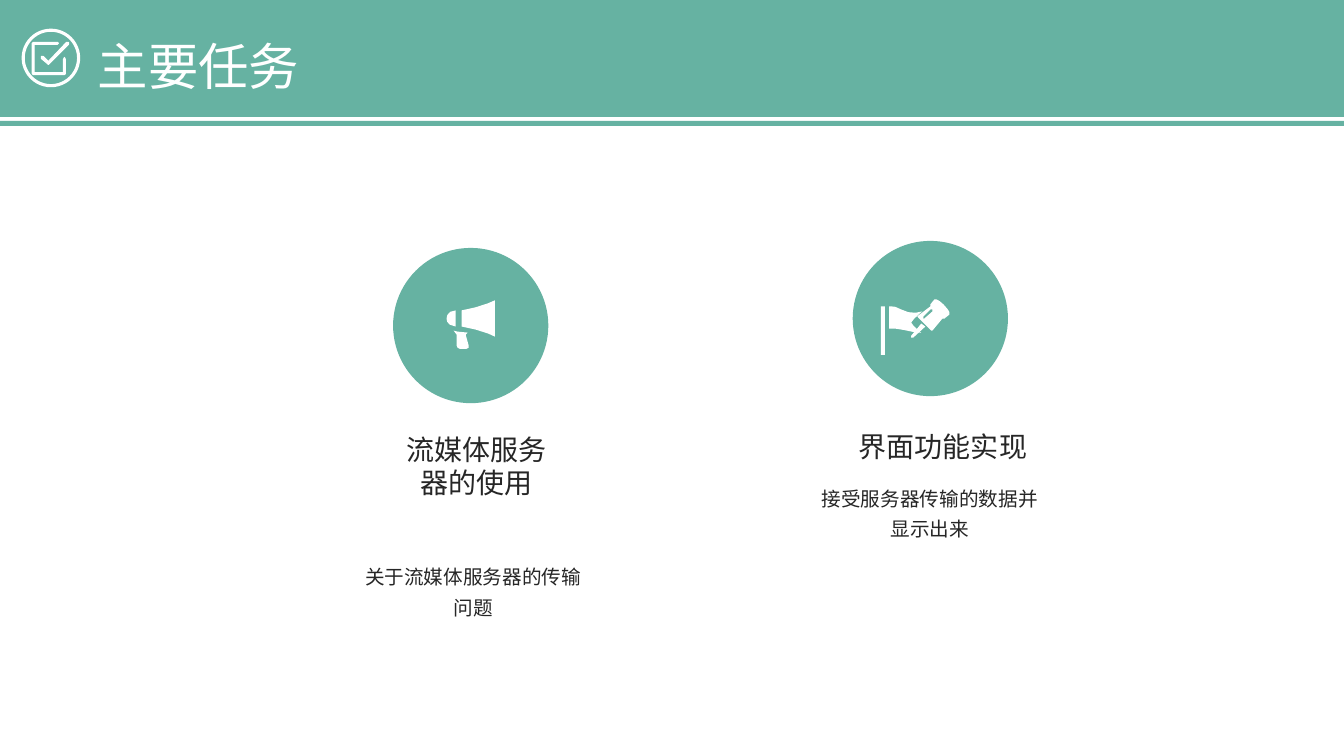
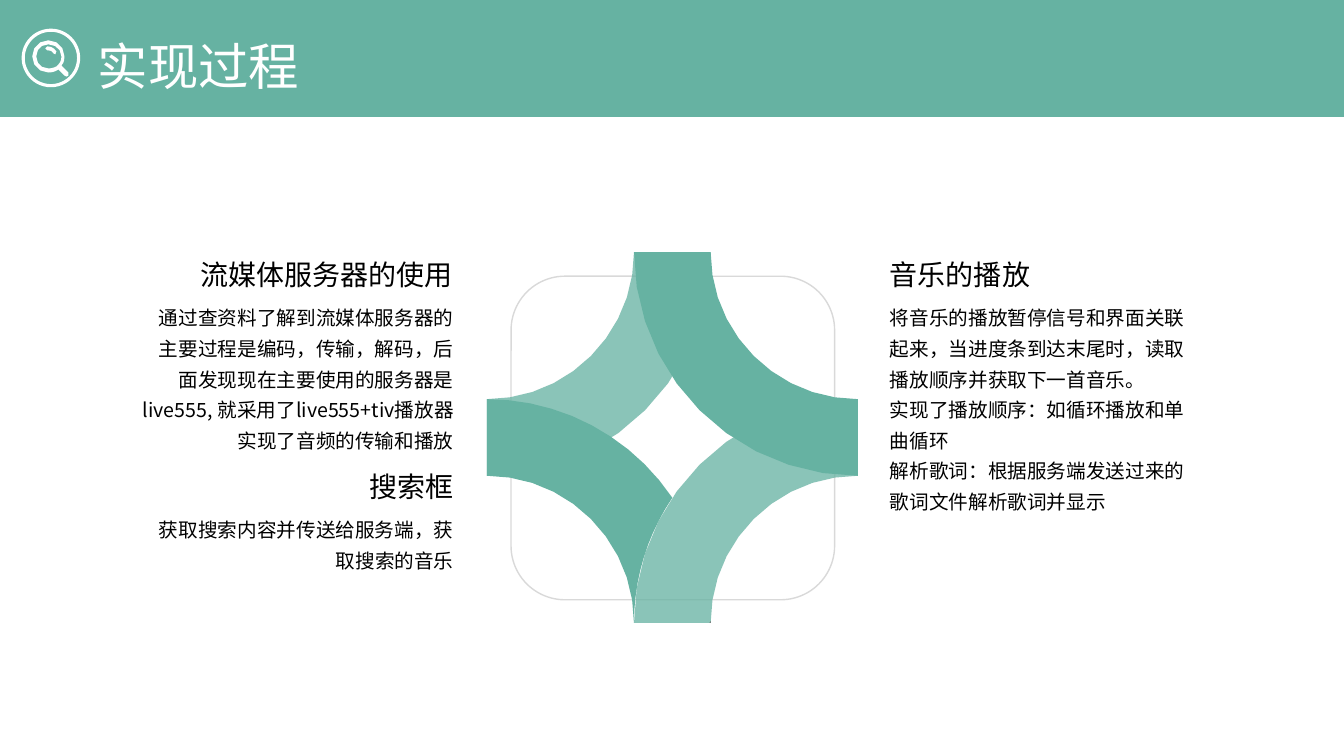
from dataclasses import dataclass
from math import acos, cos, degrees, radians, sin

from lxml.etree import SubElement
from pptx import Presentation
from pptx.dml.color import RGBColor
from pptx.enum.shapes import MSO_SHAPE
from pptx.enum.text import MSO_ANCHOR, MSO_AUTO_SIZE, PP_ALIGN
from pptx.oxml.ns import qn
from pptx.shapes.autoshape import Shape
from pptx.slide import Slide
from pptx.text.text import TextFrame
from pptx.util import Inches, Pt

TEAL = RGBColor(0x66, 0xB2, 0xA2)
WHITE = RGBColor(0xFF, 0xFF, 0xFF)
BLACK = RGBColor(0, 0, 0)
CHARCOAL = RGBColor(0x26, 0x26, 0x26)
DARK_GRAY = RGBColor(0x58, 0x58, 0x58)
LIGHT_GRAY = RGBColor(0xD9, 0xD9, 0xD9)

CJK_FONT = "Noto Sans CJK SC"
LATIN_FONT = "Calibri"
SLIDE_WIDTH, SLIDE_HEIGHT = 40 / 3, 7.5
UNITS_PER_INCH = 1000
CURVE_STEPS = 3
ARC_STEPS = 10

Point = tuple[float, float]
Box = tuple[float, float, float, float]

CHECK_ICON = (
    "M .67 .42 L .68 .42 L .68 .44 L .49 .63 L .48 .64 L .47 .63 "
    "L .41 .58 L .41 .56 L .43 .56 L .48 .61 L .66 .42 "
    "M .33 .42 L .57 .42 L .58 .43 L .57 .44 L .34 .44 L .34 .72 L .63 .72 "
    "L .63 .59 L .64 .57 L .65 .59 L .65 .73 L .64 .74 L .33 .74 "
    "L .32 .73 L .32 .43 L .33 .42"
)
SEARCH_ICON = (
    "M .47 .46 C .51 .46 .54 .48 .56 .51 L .55 .54 L .53 .53 "
    "C .52 .51 .5 .5 .47 .5 L .45 .48 L .47 .46 "
    "M .48 .44 C .41 .44 .36 .49 .36 .56 C .36 .63 .41 .68 .48 .68 "
    "C .51 .68 .54 .67 .56 .66 L .58 .64 C .6 .62 .61 .59 .61 .56 "
    "C .61 .49 .55 .44 .48 .44 "
    "M .48 .4 C .57 .4 .64 .47 .64 .56 C .64 .6 .63 .63 .61 .65 L .68 .72 "
    "L .68 .75 L .66 .76 L .64 .75 L .58 .69 "
    "C .55 .71 .52 .72 .48 .72 C .39 .72 .32 .65 .32 .56 C .32 .47 .39 .4 .48 .4"
)
MEGAPHONE_HANDLE = (
    "M 4.5 3.28 L 4.53 3.32 L 4.53 3.43 L 4.54 3.45 L 4.56 3.46 "
    "L 4.63 3.46 L 4.65 3.45 L 4.65 3.43 L 4.62 3.32 L 4.64 3.3 L 4.54 3.29 L 4.5 3.28"
)
MEGAPHONE_HORN = (
    "M 4.58 3.24 C 4.71 3.26 4.89 3.32 4.91 3.34 L 4.91 2.98 "
    "C 4.88 3 4.71 3.06 4.58 3.08 L 4.58 3.24"
)
MEGAPHONE_BACK = "M 4.52 3.24 L 4.52 3.08 C 4.45 3.08 4.43 3.13 4.43 3.16 C 4.43 3.19 4.44 3.23 4.52 3.24"
FLAG_CLOTH = (
    "M 9.04 3.2 C 9.04 3.18 9.15 3.09 9.15 3.09 C 9.09 3.11 9.01 3.11 8.94 3.07 "
    "C 8.88 3.03 8.82 3.04 8.82 3.04 L 8.82 3.26 L 8.88 3.26 "
    "C 8.94 3.26 9.09 3.31 9.14 3.3 C 9.14 3.3 9.04 3.22 9.04 3.2"
)
TOOL_ICON = (
    "M 9.14 3.21 L 9.18 3.24 L 9.06 3.35 L 9.04 3.35 L 9.04 3.33 L 9.14 3.21 "
    "M 9.24 3.07 L 9.23 3.07 L 9.16 3.14 L 9.16 3.16 L 9.17 3.16 "
    "L 9.25 3.09 L 9.25 3.07 L 9.24 3.07 "
    "M 9.29 2.97 C 9.29 2.97 9.32 2.98 9.36 3.02 C 9.41 3.07 9.42 3.1 9.42 3.1 "
    "L 9.42 3.12 L 9.37 3.16 L 9.35 3.16 L 9.25 3.28 L 9.24 3.28 L 9.11 3.15 "
    "L 9.1 3.14 L 9.11 3.13 L 9.23 3.04 L 9.23 3.02 L 9.27 2.97 L 9.29 2.97"
)
RIBBON_TIP = "M 7.05 6.18 L 7.04 6.18 L 7.05 6.16"


@dataclass(frozen=True)
class Passage:
    box: Box
    paragraphs: tuple[str, ...]
    size: int
    color: RGBColor
    align: PP_ALIGN
    font: str = CJK_FONT
    spacing: float = 1.0
    before: int = 0


def place(shape: Shape, box: Box) -> None:
    shape.left, shape.top, shape.width, shape.height = map(Inches, box)


def paint(
    shape: Shape,
    fill: RGBColor | None,
    outline: RGBColor | None = None,
    weight: float = 1,
    opacity: int = 100,
) -> None:
    shape.shadow.inherit = False
    if fill is None:
        shape.fill.background()
    else:
        shape.fill.solid()
        shape.fill.fore_color.rgb = fill
        if opacity < 100:
            tint = shape._element.spPr.find(f"{qn('a:solidFill')}/{qn('a:srgbClr')}")
            SubElement(tint, qn("a:alpha")).set("val", str(opacity * 1000))
    if outline is None:
        shape.line.fill.background()
    else:
        shape.line.color.rgb = outline
        shape.line.width = Pt(weight)


def add_preset(slide: Slide, kind: MSO_SHAPE, box: Box) -> Shape:
    return slide.shapes.add_shape(kind, *map(Inches, box))


def trace(icon: str) -> list[list[Point]]:
    contours: list[list[Point]] = []
    for step in icon.replace("M", "|M").replace("L", "|L").replace("C", "|C").split("|")[1:]:
        command, *numbers = step.split()
        values = [float(number) for number in numbers]
        points = list(zip(values[::2], values[1::2]))
        if command == "M":
            contours.append(points)
        elif command == "L":
            contours[-1] += points
        else:
            corners = [contours[-1][-1], *points]
            for index in range(1, CURVE_STEPS + 1):
                t = index / CURVE_STEPS
                weights = ((1 - t) ** 3, 3 * t * (1 - t) ** 2, 3 * t * t * (1 - t), t**3)
                x, y = (sum(w * c[axis] for w, c in zip(weights, corners)) for axis in (0, 1))
                contours[-1].append((x, y))
    return contours


def add_outline(slide: Slide, contours: list[list[Point]]) -> Shape:
    scaled = [[(x * UNITS_PER_INCH, y * UNITS_PER_INCH) for x, y in c] for c in contours]
    builder = slide.shapes.build_freeform(*scaled[0][0], scale=Inches(1) / UNITS_PER_INCH)
    for index, contour in enumerate(scaled):
        if index:
            builder.move_to(*contour[0])
        builder.add_line_segments(contour[1:], close=True)
    return builder.convert_to_shape()


def write(frame: TextFrame, passage: Passage) -> None:
    frame.word_wrap = True
    frame.vertical_anchor = MSO_ANCHOR.TOP
    frame.auto_size = MSO_AUTO_SIZE.NONE
    frame.text = "\n".join(passage.paragraphs)
    for paragraph in frame.paragraphs:
        paragraph.alignment = passage.align
        paragraph.line_spacing = passage.spacing
        paragraph.space_before = Pt(passage.before)
        font = paragraph.font
        font.size = Pt(passage.size)
        font.color.rgb = passage.color
        font.name = passage.font
        defaults = paragraph._p.pPr.find(qn("a:defRPr"))
        SubElement(defaults, qn("a:ea")).set("typeface", CJK_FONT)


def add_passage(slide: Slide, passage: Passage) -> None:
    write(slide.shapes.add_textbox(*map(Inches, passage.box)).text_frame, passage)


def add_header(
    slide: Slide, title: str, band_top: float, stripe_top: float, icon: str, icon_line: RGBColor | None
) -> None:
    for top, height in ((stripe_top, 0.05), (band_top, 1.16)):
        paint(add_preset(slide, MSO_SHAPE.RECTANGLE, (0, top, SLIDE_WIDTH, height)), TEAL)
    paint(add_outline(slide, trace(icon)), WHITE, icon_line, 0.75)
    paint(add_preset(slide, MSO_SHAPE.OVAL, (0.23, 0.3, 0.55, 0.55)), None, WHITE, 2.25)
    heading = Passage((0.87, 0.12, 4.39, 0.89), (title,), 36, WHITE, PP_ALIGN.LEFT, spacing=1.3)
    placeholder = slide.shapes.title
    place(placeholder, heading.box)
    write(placeholder.text_frame, heading)
    slide.shapes._spTree.append(placeholder._element)


def arc(center: Point, radius: float, start: float, end: float) -> list[Point]:
    angles = (radians(start + (end - start) * i / ARC_STEPS) for i in range(ARC_STEPS + 1))
    return [(center[0] + radius * cos(a), center[1] + radius * sin(a)) for a in angles]


def add_woven_ribbons(slide: Slide, center: Point) -> None:
    reach, half_width = 1.84, 0.38
    inner, outer = reach - half_width, reach + half_width
    x, y = center
    for right, down, start, opacity in ((1, 1, 180, 76), (1, -1, 90, 100), (-1, -1, 0, 76)):
        corner = (x + right * reach, y + down * reach)
        ribbon = arc(corner, outer, start, start + 90) + arc(corner, inner, start + 90, start)
        paint(add_outline(slide, [ribbon]), TEAL, opacity=opacity)
    crossing = degrees(acos(reach / outer))
    left_corner, right_corner = (x - reach, y + reach), (x + reach, y + reach)
    tucked_ribbon = (
        arc(left_corner, outer, 270, 360 - crossing)
        + arc(right_corner, outer, 180 + crossing, 180)
        + arc(left_corner, inner, 360, 270)
    )
    paint(add_outline(slide, [tucked_ribbon]), TEAL)
    paint(add_outline(slide, trace(RIBBON_TIP)), DARK_GRAY)


def build_tasks(slide: Slide) -> None:
    add_header(slide, "主要任务", 0, 1.2, CHECK_ICON, WHITE)
    for left, top in ((3.9, 2.46), (8.46, 2.39)):
        paint(add_preset(slide, MSO_SHAPE.OVAL, (left, top, 1.54, 1.54)), TEAL)
    for icon in (TOOL_ICON, FLAG_CLOTH):
        paint(add_outline(slide, trace(icon)), WHITE)
    paint(add_preset(slide, MSO_SHAPE.RECTANGLE, (8.74, 3.04, 0.04, 0.48)), WHITE)
    for icon in (MEGAPHONE_HANDLE, MEGAPHONE_HORN, MEGAPHONE_BACK):
        paint(add_outline(slide, trace(icon)), WHITE)
    tasks = (
        ("流媒体服务器的使用", (3.91, 4.24, 1.64, 0.77),
         "关于流媒体服务器的传输问题", (3.48, 5.49, 2.43, 0.71)),
        ("界面功能实现", (8.41, 4.21, 1.89, 0.44),
         "接受服务器传输的数据并显示出来", (8.01, 4.71, 2.43, 0.71)),
    )
    for name, name_box, detail, detail_box in tasks:
        add_passage(slide, Passage(name_box, (name,), 20, CHARCOAL, PP_ALIGN.CENTER))
        add_passage(slide, Passage(detail_box, (detail,), 14, CHARCOAL, PP_ALIGN.CENTER,
                                   LATIN_FONT, 1.3, 8))


def build_process(slide: Slide) -> None:
    add_header(slide, "实现过程", -0.05, 1.11, SEARCH_ICON, None)
    frame = add_preset(slide, MSO_SHAPE.ROUNDED_RECTANGLE, (5.07, 2.74, 3.21, 3.21))
    paint(frame, None, LIGHT_GRAY)
    add_woven_ribbons(slide, (6.67, 4.34))
    steps = (
        ("流媒体服务器的使用", (1.31, 2.51, 3.28, 0.44), 1.63, PP_ALIGN.RIGHT,
         ("通过查资料了解到流媒体服务器的主要过程是编码，传输，解码，后面发现现在主要使用的服务器是"
          "live555, 就采用了live555+tiv播放器实现了音频的传输和播放",)),
        ("搜索框", (3, 4.61, 1.6, 0.44), 0.71, PP_ALIGN.RIGHT,
         ("获取搜索内容并传送给服务端，获取搜索的音乐",)),
        ("音乐的播放", (8.73, 2.51, 1.6, 0.44), 2.24, PP_ALIGN.LEFT,
         ("将音乐的播放暂停信号和界面关联起来，当进度条到达末尾时，读取播放顺序并获取下一首音乐。",
          "实现了播放顺序：如循环播放和单曲循环",
          "解析歌词：根据服务端发送过来的歌词文件解析歌词并显示")),
    )
    for name, name_box, height, align, details in steps:
        left = 8.73 if align == PP_ALIGN.LEFT else 1.31
        detail_box = (left, name_box[1] + 0.41, 3.29, height)
        add_passage(slide, Passage(detail_box, details, 14, BLACK, align, spacing=1.3))
        add_passage(slide, Passage(name_box, (name,), 20, BLACK, align))


def main() -> None:
    deck = Presentation()
    deck.slide_width, deck.slide_height = Inches(SLIDE_WIDTH), Inches(SLIDE_HEIGHT)
    title_only = deck.slide_layouts[5]
    for build in (build_tasks, build_process):
        build(deck.slides.add_slide(title_only))
    deck.save("out.pptx")


if __name__ == "__main__":
    main()
